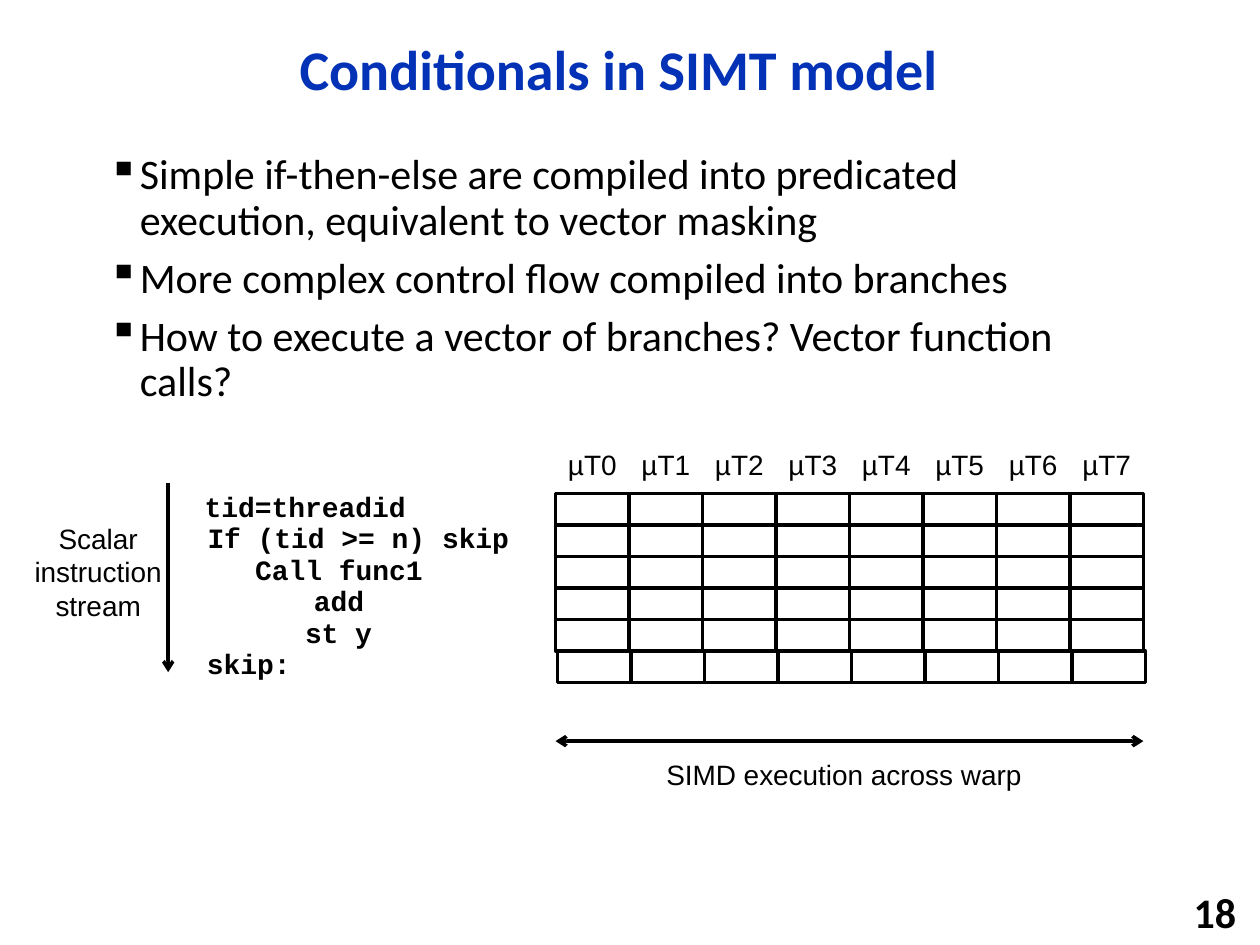
import pptx
import pptx.dml.color
import pptx.enum.shapes
import pptx.enum.text
import pptx.oxml
import pptx.oxml.ns
import pptx.util

Cm = pptx.util.Cm
Pt = pptx.util.Pt
ALIGN = pptx.enum.text.PP_ALIGN
ANCHOR = pptx.enum.text.MSO_ANCHOR
AUTO_SIZE = pptx.enum.text.MSO_AUTO_SIZE

BLACK, WHITE, BLUE = "000000", "FFFFFF", "0332B7"
LABEL = {"name": "Arial", "size": Pt(16)}
CODE = {"name": "Courier New", "size": Pt(16), "bold": True}
TITLE = {"name": "Calibri", "size": Pt(32), "bold": True}
BODY = {"name": "Calibri", "size": Pt(24)}
NUMBER = {"name": "Calibri", "size": Pt(24), "bold": True}

BULLETS = [
    "Simple if-then-else are compiled into predicated execution, "
    "equivalent to vector masking",
    "More complex control flow compiled into branches",
    "How to execute a vector of branches? Vector function calls?",
]
# Each instruction with its indent in cm
INSTRUCTIONS = [
    ("tid=threadid", 0),
    ("If (tid >= n) skip", 0.05),
    ("Call func1", 1.02),
    ("add", 2.21),
    ("st y", 2.03),
    ("skip:", 0.05),
]
THREADS = 8
ROW_HEIGHT = 0.635
LABEL_HEIGHT = 0.94


def color(hex_string):
    return pptx.dml.color.RGBColor.from_string(hex_string)


def set_values(target, values):
    for name, value in values.items():
        setattr(target, name, value)


def add_text(page, box, lines, font, font_color=BLACK, frame_format=None,
             para_format=None, bullet=None):
    frame = page.shapes.add_textbox(*map(Cm, box)).text_frame
    set_values(frame, {"word_wrap": True, **(frame_format or {})})
    for index, line in enumerate(lines):
        para = frame.paragraphs[0] if index == 0 else frame.add_paragraph()
        set_values(para, para_format or {})
        if index:
            para.space_before = Pt(7.2)
        if bullet:
            add_bullet(para, bullet)
        span = para.add_run()
        span.text = line
        set_values(span.font, font)
        span.font.color.rgb = color(font_color)


def add_bullet(para, symbol):
    properties = para._p.get_or_add_pPr()
    properties.set("marL", str(Cm(0.64)))
    properties.set("indent", str(-Cm(0.64)))
    mark = pptx.oxml.parse_xml(
        f'<a:buChar {pptx.oxml.ns.nsdecls("a")} char="{symbol}"/>')
    properties.append(mark)


def add_label(page, box, text, font=LABEL, wrap=True):
    add_text(page, box, [text], font,
             frame_format={"word_wrap": wrap,
                           "auto_size": AUTO_SIZE.SHAPE_TO_FIT_TEXT},
             para_format={"alignment": ALIGN.CENTER})


def add_arrow(page, start, end, heads):
    line = page.shapes.add_connector(
        pptx.enum.shapes.MSO_CONNECTOR.STRAIGHT, *map(Cm, start + end))
    line.line.width = Pt(2)
    line.line.color.rgb = color(BLACK)
    namespace = pptx.oxml.ns.nsdecls("a")
    outline = line.line._get_or_add_ln()
    for head in heads:
        outline.append(pptx.oxml.parse_xml(
            f'<a:{head} {namespace} type="arrow"/>'))
    line._element.spPr.append(
        pptx.oxml.parse_xml(f"<a:effectLst {namespace}/>"))


def add_cell(page, box):
    cell = page.shapes.add_shape(
        pptx.enum.shapes.MSO_SHAPE.RECTANGLE, *map(Cm, box))
    cell.shadow.inherit = False
    cell.fill.solid()
    cell.fill.fore_color.rgb = color(WHITE)
    cell.line.color.rgb = color(BLACK)
    cell.line.width = Pt(2)


def add_title(page, box):
    add_text(page, box, ["Conditionals in SIMT model"], TITLE, BLUE,
             {"vertical_anchor": ANCHOR.MIDDLE},
             {"alignment": ALIGN.CENTER, "line_spacing": 0.9})


def add_bullets(page, box):
    add_text(page, box, BULLETS, BODY,
             para_format={"line_spacing": 0.9}, bullet="▪")


def add_page_number(page, box):
    add_text(page, box, ["18"], NUMBER,
             frame_format={"vertical_anchor": ANCHOR.MIDDLE,
                           "word_wrap": False},
             para_format={"alignment": ALIGN.RIGHT})


def add_instruction_stream(page, box):
    left, top, width, height = box
    # Caption and downward arrow
    add_label(page, (left, top + 0.64, 3.56, 2.31),
              "Scalar instruction stream")
    arrow_x = left + 3.19
    add_arrow(page, (arrow_x, top), (arrow_x, top + height), ["tailEnd"])
    # Code, one line per grid row
    for row, (text, indent) in enumerate(INSTRUCTIONS):
        text_width = 0.51 + 0.34 * len(text)
        add_label(page, (left + 3.66 + indent, top + row * ROW_HEIGHT,
                         text_width, LABEL_HEIGHT), text, CODE, wrap=False)


def add_warp_grid(page, box):
    left, top, width, height = box
    column_width = width / THREADS
    # Thread names
    for column in range(THREADS):
        add_label(page, (left + column * column_width, top,
                         column_width, LABEL_HEIGHT),
                  f"µT{column}", wrap=False)
    # Cells; the last row sits slightly to the right
    last_row = len(INSTRUCTIONS) - 1
    for row in range(len(INSTRUCTIONS)):
        shift = 0.04 if row == last_row else 0
        for column in range(THREADS):
            add_cell(page, (left + shift + column * column_width,
                            top + 1.06 + row * ROW_HEIGHT,
                            column_width, ROW_HEIGHT))
    # Width arrow and caption
    arrow_y = top + height - 1.14
    add_arrow(page, (left, arrow_y), (left + width, arrow_y),
              ["headEnd", "tailEnd"])
    add_label(page, (left + 0.2, arrow_y + 0.2, 11.23, LABEL_HEIGHT),
              "SIMD execution across warp")


def main():
    deck = pptx.Presentation()
    deck.slide_width, deck.slide_height = Cm(25.4), Cm(19.05)
    page = deck.slides.add_slide(deck.slide_layouts[6])
    add_title(page, (2.34, 0.43, 20.27, 2.06))
    add_bullets(page, (1.93, 2.97, 21.34, 14.05))
    add_page_number(page, (19.89, 17.98, 5.28, 0.81))
    add_instruction_stream(page, (0.2, 9.74, 10.4, 3.81))
    add_warp_grid(page, (11.2, 8.89, 11.85, 7.19))
    deck.save("out.pptx")


if __name__ == "__main__":
    main()
